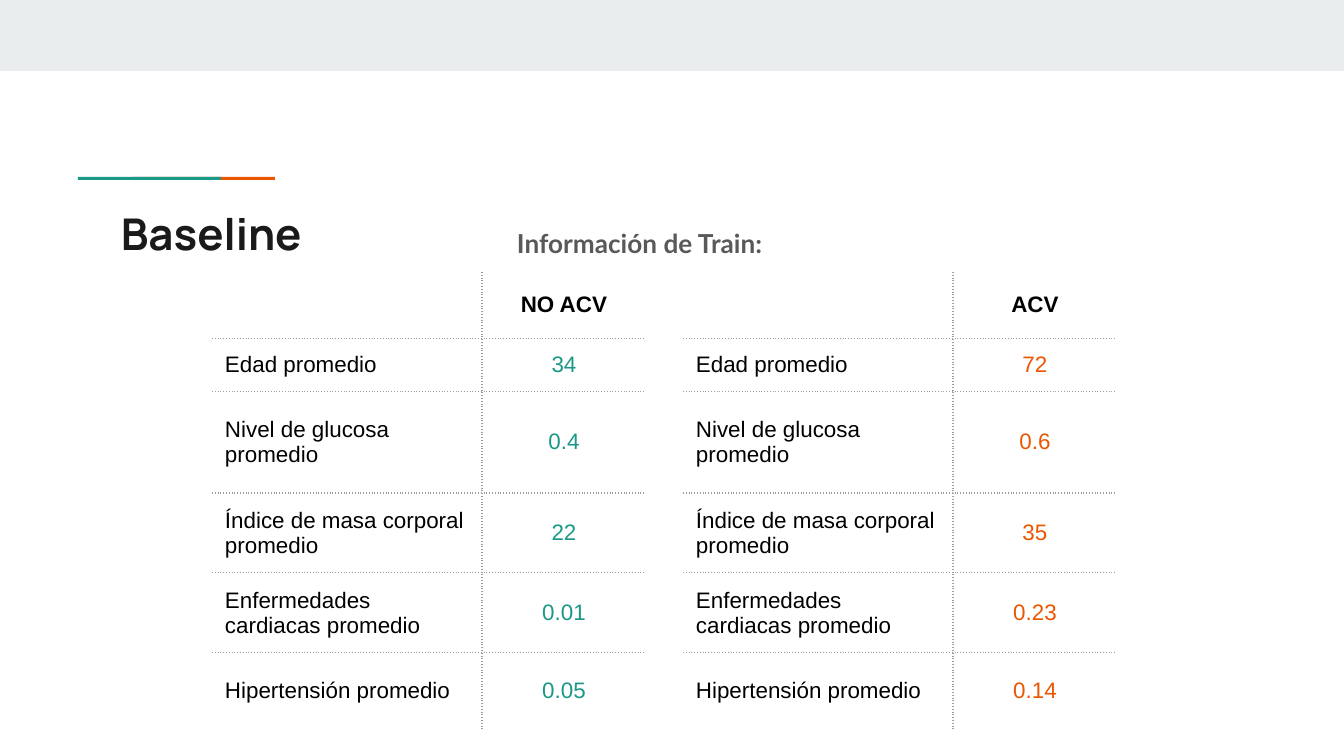
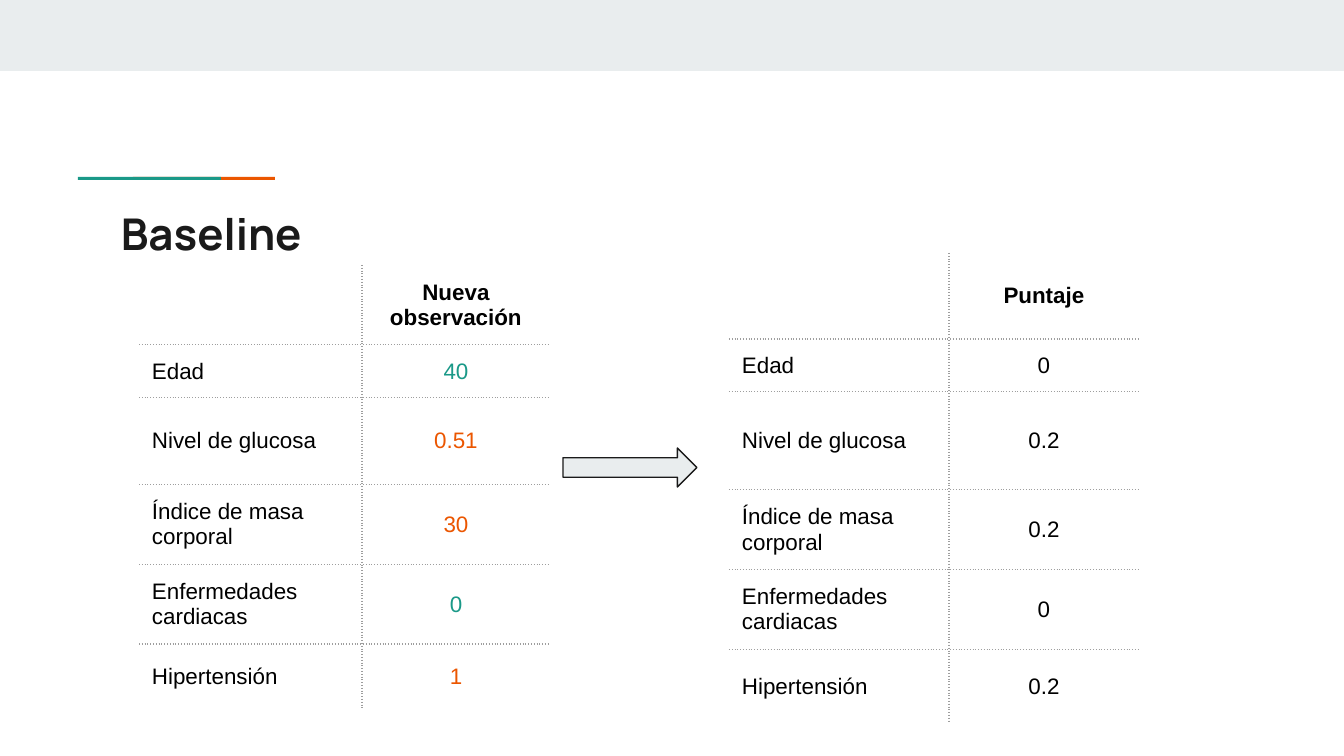
import pptx
import pptx.util
import pptx.dml.color
import pptx.enum.shapes
import pptx.enum.text
import pptx.oxml.ns
import lxml.etree

EMU_PER_PX = 914400 / 134.4
INSET = 13
TEAL, ORANGE, BAND, INK = "1A9988", "EB5600", "E9EDEE", "1A1A1A"
BLACK, GREY, RULE = "000000", "595959", "9E9E9E"
LEFT = pptx.enum.text.PP_ALIGN.LEFT
CENTER = pptx.enum.text.PP_ALIGN.CENTER
SHAPES = pptx.enum.shapes.MSO_SHAPE

MEASURES = ["Edad", "Nivel de glucosa", "Índice de masa corporal",
            "Enfermedades cardiacas", "Hipertensión"]
AVERAGES = [f"{measure} promedio" for measure in MEASURES]


def px(length):
    return pptx.util.Emu(round(length * EMU_PER_PX))


def color(code):
    return pptx.dml.color.RGBColor.from_string(code)


def write(frame, text, size=12, font="Arial", ink=BLACK, bold=False, align=LEFT):
    para = frame.paragraphs[0]
    para.alignment = align
    span = para.add_run()
    span.text = text
    span.font.size = pptx.util.Pt(size)
    span.font.name = font
    span.font.bold = bold
    span.font.color.rgb = color(ink)


def add_text(page, box, text, **style):
    frame = page.shapes.add_textbox(*map(px, box)).text_frame
    frame.word_wrap = True
    frame.margin_left = frame.margin_right = px(INSET)
    frame.margin_top = frame.margin_bottom = px(INSET)
    write(frame, text, **style)


def add_block(page, kind, box, fill, line=None):
    block = page.shapes.add_shape(kind, *map(px, box))
    block.shadow.inherit = False
    block.fill.solid()
    block.fill.fore_color.rgb = color(fill)
    if line:
        block.line.color.rgb = color(line)
        block.line.width = pptx.util.Pt(0.75)
    else:
        block.line.fill.background()


def set_borders(cell, dotted_sides):
    qn = pptx.oxml.ns.qn
    properties = cell._tc.get_or_add_tcPr()
    for side in "LRTB":
        line = lxml.etree.SubElement(properties, qn(f"a:ln{side}"), w="9525")
        if side in dotted_sides:
            fill = lxml.etree.SubElement(line, qn("a:solidFill"))
            lxml.etree.SubElement(fill, qn("a:srgbClr"), val=RULE)
            lxml.etree.SubElement(line, qn("a:prstDash"), val="dot")
        else:
            lxml.etree.SubElement(line, qn("a:noFill"))


def add_table(page, left, top, widths, heights, header, labels, values, inks):
    box = (left, top, sum(widths), sum(heights))
    table = page.shapes.add_table(len(heights), len(widths), *map(px, box)).table
    table.first_row = table.horz_banding = False
    for column, width in zip(table.columns, widths):
        column.width = px(width)
    for row, height in zip(table.rows, heights):
        row.height = px(height)

    last = len(heights) - 1
    for row in range(len(heights)):
        for column, inner_side in enumerate("RL"):
            cell = table.cell(row, column)
            cell.margin_left = cell.margin_right = px(INSET)
            cell.margin_top = cell.margin_bottom = px(INSET)
            cell.vertical_anchor = pptx.enum.text.MSO_ANCHOR.MIDDLE
            sides = inner_side + ("T" if row > 0 else "") + ("B" if row < last else "")
            set_borders(cell, sides)
            cell.fill.background()

    write(table.cell(0, 1).text_frame, header, bold=True, align=CENTER)
    for row, (label, value, ink) in enumerate(zip(labels, values, inks), start=1):
        write(table.cell(row, 0).text_frame, label)
        write(table.cell(row, 1).text_frame, value, ink=ink, align=CENTER)


def add_page(deck, title):
    page = deck.slides.add_slide(deck.slide_layouts[6])
    add_block(page, SHAPES.RECTANGLE, (0, 0, 1344, 71), BAND)
    add_block(page, SHAPES.RECTANGLE, (133, 177, 142, 3), ORANGE)
    add_block(page, SHAPES.RECTANGLE, (78, 177, 143, 3), TEAL)
    add_text(page, (108, 194, 1130, 79), title,
             size=23.4, font="Manrope", ink=INK, bold=True)
    return page


def add_training_page(deck):
    page = add_page(deck, "Baseline")
    add_text(page, (504, 214, 320, 59), "Información de Train:",
             size=14, font="Lato", ink=GREY, bold=True)
    groups = [
        (212, "NO ACV", ["34", "0.4", "22", "0.01", "0.05"], TEAL),
        (683, "ACV", ["72", "0.6", "35", "0.23", "0.14"], ORANGE),
    ]
    for left, header, values, ink in groups:
        add_table(page, left, 272, [270, 164], [50, 50, 102, 77, 77, 77],
                  header, AVERAGES, values, [ink] * len(values))


def add_scoring_page(deck):
    page = add_page(deck, "Baseline")
    add_table(page, 139, 265, [223, 188], [77, 50, 87, 77, 77, 65],
              "Nueva observación", MEASURES, ["40", "0.51", "30", "0", "1"],
              [TEAL, ORANGE, ORANGE, TEAL, ORANGE])
    add_table(page, 729, 253, [220, 190], [86, 52, 98, 78, 78, 74],
              "Puntaje", MEASURES, ["0", "0.2", "0.2", "0", "0.2"],
              [BLACK] * len(MEASURES))
    add_block(page, SHAPES.RIGHT_ARROW, (563, 448, 134, 39), BAND, line=INK)


def main():
    deck = pptx.Presentation()
    deck.slide_width, deck.slide_height = px(1344), px(756)
    add_training_page(deck)
    add_scoring_page(deck)
    deck.save("out.pptx")


if __name__ == "__main__":
    main()
